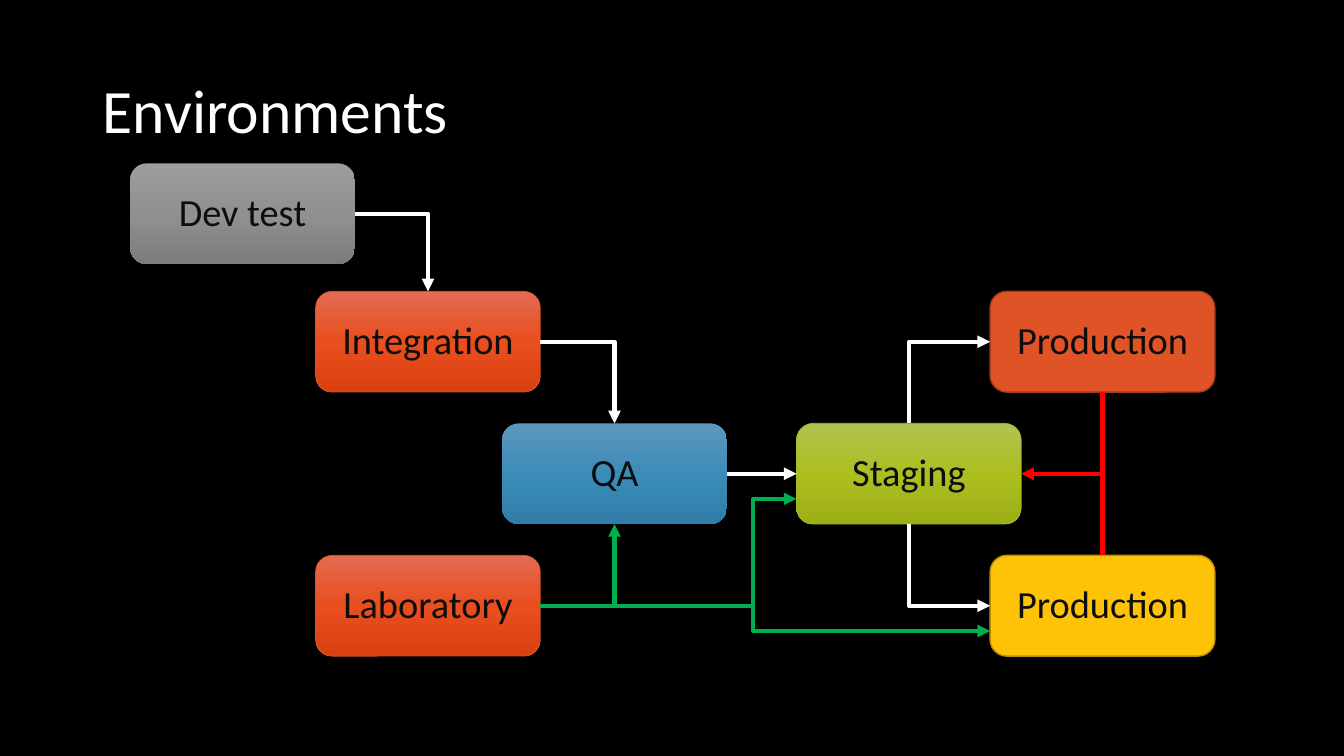
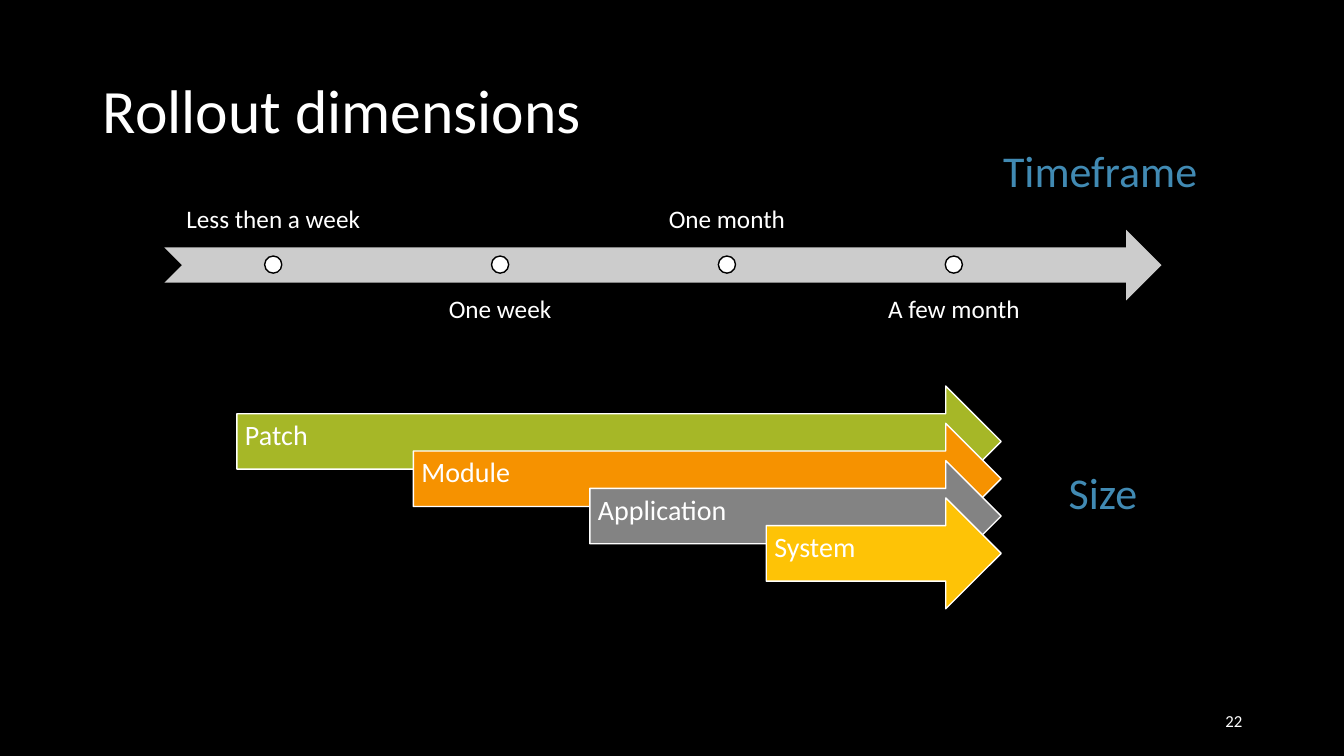
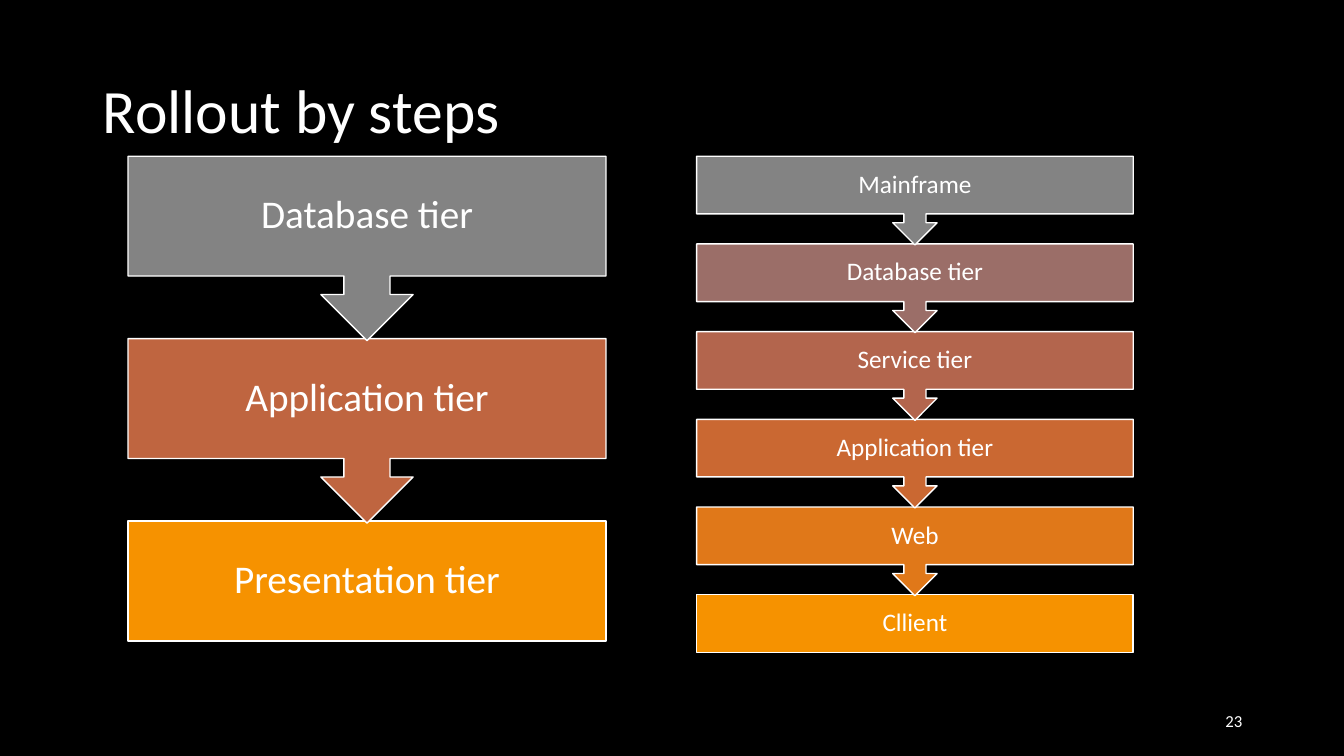
import copy
import pptx
import pptx.util
import pptx.dml.color
import pptx.enum.shapes
import pptx.enum.text
import pptx.oxml.ns
import pptx.oxml.xmlchemy

Inches = pptx.util.Inches
Pt = pptx.util.Pt
qn = pptx.oxml.ns.qn
new_element = pptx.oxml.xmlchemy.OxmlElement
SHAPE = pptx.enum.shapes.MSO_SHAPE
CONNECTOR = pptx.enum.shapes.MSO_CONNECTOR
ALIGN = pptx.enum.text.PP_ALIGN
ANCHOR = pptx.enum.text.MSO_ANCHOR


class Theme:
    font = "Calibri"
    black, white, ink = "000000", "FFFFFF", "0D0D0D"
    grey, orange, amber, lime = "838383", "F69200", "FEC306", "A6B727"
    red, blue, silver = "DF5327", "418AB3", "CCCCCC"
    signal_green, signal_red = "00B050", "FF0000"
    red_blend = ("E46B52", "E84E1E", "D94010")
    grey_blend = ("9D9D9D", "909090", "7C7C7C")
    blue_blend = ("5E97BE", "3B8CB9", "307DA9")
    lime_blend = ("B2C251", "ACBE20", "9DAF16")
    title, label, box, tier, bar, note, number = 44, 31.4, 27.4, 28, 20, 18, 12


# Environments: name -> text, column, row, fill, line colour, line width
COLUMNS = (1.29, 3.13, 4.98, 7.9, 9.82)
ROWS = (1.62, 2.89, 4.2, 5.51)
BOX_W, BOX_H = 2.23, 1
ENVIRONMENTS = {
    "dev": ("Dev test", 0, 0, Theme.grey_blend, None, 0),
    "integration": ("Integration", 1, 1, Theme.red_blend, Theme.red, 0.5),
    "lab": ("Laboratory", 1, 3, Theme.red_blend, Theme.red, 0.5),
    "qa": ("QA", 2, 2, Theme.blue_blend, None, 0),
    "staging": ("Staging", 3, 2, Theme.lime_blend, Theme.lime, 0.5),
    "prod_a": ("Production", 4, 1, Theme.red, "A53D1D", 1),
    "prod_b": ("Production", 4, 3, Theme.amber, "BC9004", 1),
}
# Elbows leave horizontally: begin, side, end, side, arrow end, colour
ELBOWS = [
    ("dev", "right", "integration", "top", "tail", Theme.white),
    ("integration", "right", "qa", "top", "tail", Theme.white),
    ("prod_a", "left", "staging", "top", "head", Theme.white),
    ("prod_b", "left", "staging", "bottom", "head", Theme.white),
    ("lab", "right", "qa", "bottom", "tail", Theme.signal_green),
    ("staging", "right", "prod_b", "top", "head", Theme.signal_red),
    ("staging", "right", "prod_a", "bottom", "head", Theme.signal_red),
]
LAB_TARGETS = ("staging", "prod_b")
LAB_BEND_X = 7.47
# Sides of a box: connection site, share across, share down
SIDES = {"top": (0, 0.5, 0), "left": (1, 0, 0.5),
         "bottom": (2, 0.5, 1), "right": (3, 1, 0.5)}

MILESTONES = ["Less then a week", "One week", "One month", "A few month"]
SIZES = [("Patch", Theme.lime), ("Module", Theme.orange),
         ("Application", Theme.grey), ("System", Theme.amber)]
LABELS = [("Timeframe", (9.85, 1.38, 2.14, 0.63)),
          ("Size", (10.5, 4.57, 0.89, 0.63))]

# Steps: left, width, pitch, callout height, text size, inset, tiers
STACKS = [
    (1.27, 4.74, 1.81, 1.83, Theme.tier, 0.22, [
        ("Database tier", Theme.grey), ("Application tier", "BF6540"),
        ("Presentation tier", Theme.orange)]),
    (6.91, 4.33, 0.87, 0.88, Theme.note, 0.14, [
        ("Mainframe", Theme.grey), ("Database tier", "9B6E68"),
        ("Service tier", "B3654D"), ("Application tier", "CA6832"),
        ("Web", "E07819"), ("Cllient", Theme.orange)]),
]
STACK_TOP, BODY_SHARE = 1.55, 0.65


def rgb(value):
    return pptx.dml.color.RGBColor.from_string(value)


def write(shape, text, size, color=Theme.white, align=ALIGN.CENTER,
          anchor=ANCHOR.MIDDLE, insets=(0.1, 0.05, 0.1, 0.05), spacing=0.9,
          wrap=True):
    tf = shape.text_frame
    tf.word_wrap = wrap
    tf.vertical_anchor = anchor
    tf.margin_left, tf.margin_top, tf.margin_right, tf.margin_bottom = map(Inches, insets)
    p = tf.paragraphs[0]
    p.alignment = align
    p.line_spacing = spacing
    r = p.add_run()
    r.text = text
    r.font.name, r.font.size = Theme.font, Pt(size)
    r.font.color.rgb = rgb(color)


def add_text(s, at, *args, **kwargs):
    write(s.shapes.add_textbox(*map(Inches, at)), *args, **kwargs)


def add_shape(s, kind, at, fill, line=None, width=1):
    """Add a preset shape; a tuple as fill makes a top-down gradient."""
    sp = s.shapes.add_shape(kind, *map(Inches, at))
    sp.shadow.inherit = False
    if isinstance(fill, tuple):
        sp.fill.gradient()
        sp.fill.gradient_angle = 270
        last = sp._element.spPr.find(".//" + qn("a:gsLst"))[-1]
        last.addnext(copy.deepcopy(last))
        for i, (stop, color) in enumerate(zip(sp.fill.gradient_stops, fill)):
            stop.position = i / (len(fill) - 1)
            stop.color.rgb = rgb(color)
    else:
        sp.fill.solid()
        sp.fill.fore_color.rgb = rgb(fill)
    if line:
        sp.line.color.rgb = rgb(line)
        sp.line.width = Pt(width)
    else:
        sp.line.fill.background()
    return sp


def add_arrow(s, kind, begin, end, color, arrow="tail", preset=None, bend=None):
    """Add a connector; bend is the share of its width before the turn."""
    c = s.shapes.add_connector(kind, *map(Inches, begin + end))
    c.line.color.rgb = rgb(color)
    c.line.width = Pt(3)
    sp_pr = c._element.spPr
    geometry = sp_pr.find(qn("a:prstGeom"))
    if preset:
        geometry.set("prst", preset)
    if bend is not None:
        gd = new_element("a:gd")
        gd.set("name", "adj1")
        gd.set("fmla", f"val {round(bend * 100000)}")
        geometry.find(qn("a:avLst")).append(gd)
    tip = new_element(f"a:{arrow}End")
    tip.set("type", "triangle")
    sp_pr.find(qn("a:ln")).append(tip)
    sp_pr.append(new_element("a:effectLst"))
    return c


def add_slide(prs, title, number=None):
    s = prs.slides.add_slide(prs.slide_layouts[5])
    sp = s.shapes.title
    sp.left, sp.top, sp.width, sp.height = map(Inches, (0.92, 0.4, 11.5, 1.45))
    write(sp, title, Theme.title, align=ALIGN.LEFT)
    if number:
        add_text(s, (9.42, 6.95, 3, 0.4), number, Theme.number,
                 align=ALIGN.RIGHT, spacing=1)
    return s


def site(name, side):
    """Return the middle of one side of an environment box."""
    column, row = ENVIRONMENTS[name][1:3]
    _, across, down = SIDES[side]
    return COLUMNS[column] + across * BOX_W, ROWS[row] + down * BOX_H


def build_environments(prs):
    s = add_slide(prs, "Environments")
    boxes = {}
    for name, (text, column, row, fill, line, width) in ENVIRONMENTS.items():
        boxes[name] = add_shape(s, SHAPE.ROUNDED_RECTANGLE,
                                (COLUMNS[column], ROWS[row], BOX_W, BOX_H),
                                fill, line, width)
        write(boxes[name], text, Theme.box, Theme.ink,
              insets=(0.2, 0.16, 0.2, 0.16))

    def link(kind, first, side, second, other, arrow, color, preset=None):
        c = add_arrow(s, kind, site(first, side), site(second, other),
                      color, arrow, preset)
        c.begin_connect(boxes[first], SIDES[side][0])
        c.end_connect(boxes[second], SIDES[other][0])

    link(CONNECTOR.STRAIGHT, "qa", "right", "staging", "left", "tail", Theme.white)
    for elbow in ELBOWS:
        link(CONNECTOR.ELBOW, *elbow, preset="bentConnector2")
    begin = site("lab", "right")
    for target in LAB_TARGETS:
        x, y = site(target, "left")
        add_arrow(s, CONNECTOR.ELBOW, begin, (x, y + BOX_H / 4),
                  Theme.signal_green,
                  bend=(LAB_BEND_X - begin[0]) / (x - begin[0]))


def build_dimensions(prs):
    s = add_slide(prs, "Rollout dimensions", "22")
    add_shape(s, SHAPE.NOTCHED_RIGHT_ARROW, (1.63, 2.28, 9.89, 0.7), Theme.silver)
    note_w, dot = 2.14, 0.17
    for i, text in enumerate(MILESTONES):
        center = 2.71 + 2.25 * i
        top, anchor = (2.81, ANCHOR.TOP) if i % 2 else (1.76, ANCHOR.BOTTOM)
        add_text(s, (center - note_w / 2, top, note_w, 0.7), text, Theme.note,
                 anchor=anchor, insets=(0.14,) * 4)
        add_shape(s, SHAPE.OVAL, (center - dot / 2, 2.54, dot, dot),
                  Theme.white, Theme.black)
    for text, at in LABELS:
        add_text(s, at, text, Theme.label, Theme.blue, ALIGN.LEFT, ANCHOR.TOP,
                 spacing=1, wrap=False)
    tip = 9.93
    for i, (text, color) in enumerate(SIZES):
        left = 2.35 + 1.75 * i
        sp = add_shape(s, SHAPE.RIGHT_ARROW,
                       (left, 3.83 + 0.37 * i, tip - left, 1.1),
                       color, Theme.white)
        write(sp, text, Theme.bar, align=ALIGN.LEFT,
              insets=(0.08, 0.08, 0.28, 0.18))


def build_steps(prs):
    s = add_slide(prs, "Rollout by steps", "23")
    for left, width, pitch, height, size, inset, tiers in STACKS:
        last = len(tiers) - 1
        for i in range(last, -1, -1):
            text, color = tiers[i]
            kind, h = ((SHAPE.RECTANGLE, height * BODY_SHARE) if i == last
                       else (SHAPE.DOWN_ARROW_CALLOUT, height))
            sp = add_shape(s, kind, (left, STACK_TOP + pitch * i, width, h),
                           color, Theme.white)
            write(sp, text, size, insets=(inset,) * 4)


def main():
    prs = pptx.Presentation()
    prs.slide_width, prs.slide_height = Inches(13.33), Inches(7.5)
    background = prs.slide_master.background.fill
    background.solid()
    background.fore_color.rgb = rgb(Theme.black)
    build_environments(prs)
    build_dimensions(prs)
    build_steps(prs)
    prs.save("out.pptx")


if __name__ == "__main__":
    main()
